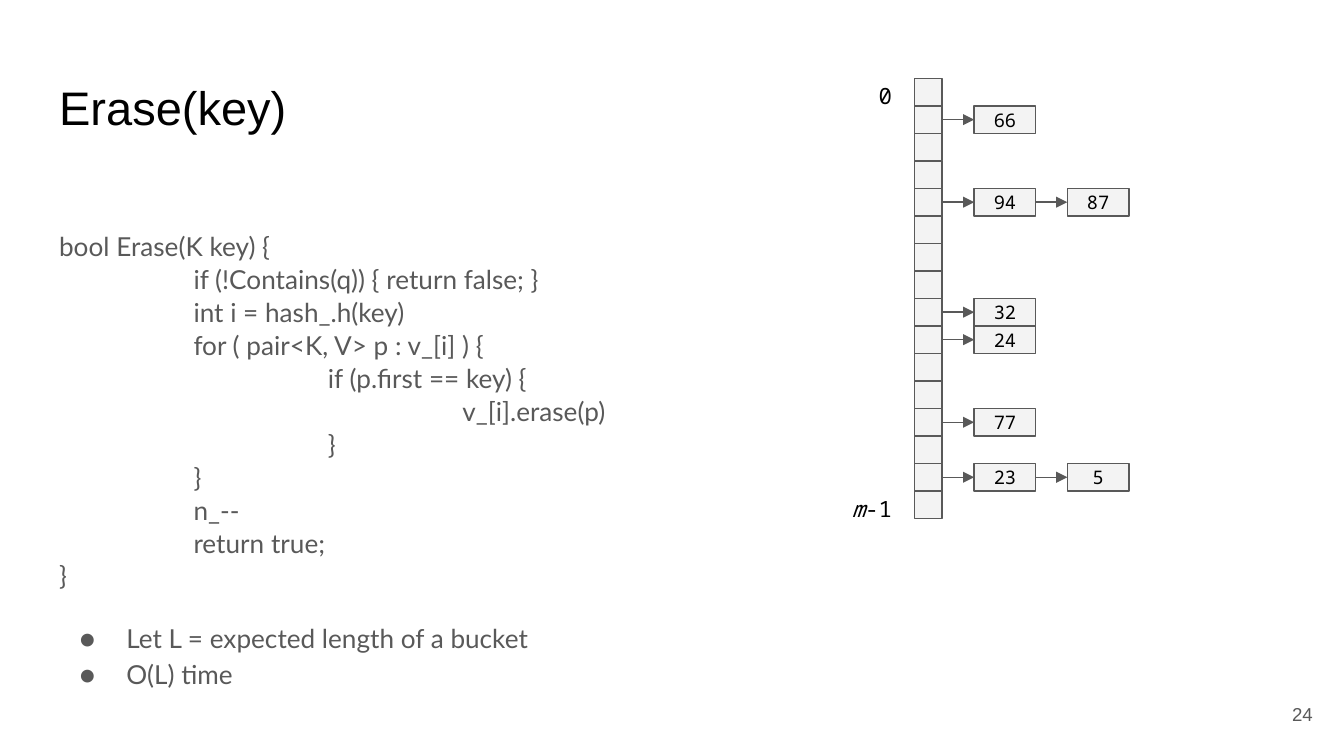
import pptx
import pptx.util
import pptx.dml.color
import pptx.enum.shapes
import pptx.enum.text
import pptx.oxml.ns
import lxml.etree

Pt = pptx.util.Pt
RGBColor = pptx.dml.color.RGBColor
PP_ALIGN = pptx.enum.text.PP_ALIGN
MSO_ANCHOR = pptx.enum.text.MSO_ANCHOR
qn = pptx.oxml.ns.qn

BLACK = RGBColor(0x00, 0x00, 0x00)
GRAY = RGBColor(0x59, 0x59, 0x59)
LIGHT = RGBColor(0xF3, 0xF3, 0xF3)

SANS, BODY, MONO = "Arial", "Lato", "Noto Sans Mono"

CODE = [
    (0, "bool Erase(K key) {"),
    (1, "if (!Contains(q)) { return false; }"),
    (1, "int i = hash_.h(key)"),
    (1, "for ( pair<K, V> p : v_[i] ) {"),
    (2, "if (p.first == key) {"),
    (3, "v_[i].erase(p)"),
    (2, "}"),
    (1, "}"),
    (1, "n_--"),
    (1, "return true;"),
    (0, "}"),
]
NOTES = ["Let L = expected length of a bucket", "O(L) time"]
BUCKET_COUNT = 16
CHAINS = {1: ["66"], 4: ["94", "87"], 8: ["32"], 9: ["24"], 12: ["77"], 14: ["23", "5"]}


def set_frame(tf, anchor=MSO_ANCHOR.TOP):
    tf.word_wrap = True
    tf.vertical_anchor = anchor
    tf.margin_left = tf.margin_right = tf.margin_top = tf.margin_bottom = Pt(7.2)


def style(p, size, name, color, align=PP_ALIGN.LEFT):
    p.alignment = align
    p.font.size = Pt(size)
    p.font.name = name
    p.font.color.rgb = color


def add_property(p, tag, **attributes):
    item = lxml.etree.Element(qn(tag), **attributes)
    p._p.pPr.find(qn("a:defRPr")).addprevious(item)
    return item


def add_text(shapes, box, text, size, name, color, align=PP_ALIGN.LEFT, anchor=MSO_ANCHOR.TOP):
    tb = shapes.add_textbox(*(Pt(v) for v in box))
    set_frame(tb.text_frame, anchor)
    p = tb.text_frame.paragraphs[0]
    p.text = text
    style(p, size, name, color, align)
    return p


def add_code(s, box):
    text = "\n".join("\t" * depth + line for depth, line in CODE)
    p = add_text(s.shapes, box, text, 14, BODY, GRAY)
    p.line_spacing = 1.05
    p.space_after = Pt(12)
    tabs = add_property(p, "a:tabLst")
    for depth in range(1, 4):
        lxml.etree.SubElement(tabs, qn("a:tab"), pos=str(Pt(72 * depth)), algn="l")


def add_bullets(s, box):
    tb = s.shapes.add_textbox(*(Pt(v) for v in box))
    tf = tb.text_frame
    set_frame(tf)
    for i, text in enumerate(NOTES):
        p = tf.add_paragraph() if i else tf.paragraphs[0]
        p.text = text
        style(p, 14, BODY, GRAY)
        p.line_spacing = 1.15
        p._p.pPr.set("marL", str(Pt(36)))
        p._p.pPr.set("indent", str(Pt(-25)))
        color = add_property(p, "a:buClr")
        lxml.etree.SubElement(color, qn("a:srgbClr"), val=str(GRAY))
        add_property(p, "a:buFont", typeface=BODY)
        add_property(p, "a:buChar", char="●")


def add_cell(shapes, x, y, w, h, text=""):
    sp = shapes.add_shape(pptx.enum.shapes.MSO_SHAPE.RECTANGLE, Pt(x), Pt(y), Pt(w), Pt(h))
    sp.shadow.inherit = False
    sp.fill.solid()
    sp.fill.fore_color.rgb = LIGHT
    sp.line.color.rgb = GRAY
    sp.line.width = Pt(0.75)
    if text:
        set_frame(sp.text_frame, MSO_ANCHOR.MIDDLE)
        p = sp.text_frame.paragraphs[0]
        p.text = text
        style(p, 10, MONO, BLACK, PP_ALIGN.CENTER)
    return sp


def add_arrow(shapes, start, end):
    line = shapes.add_connector(pptx.enum.shapes.MSO_CONNECTOR.STRAIGHT, 0, 0, 0, 0)
    line.begin_connect(start, 3)
    line.end_connect(end, 1)
    line.line.color.rgb = GRAY
    line.line.width = Pt(0.75)
    lxml.etree.SubElement(line.line._get_or_add_ln(), qn("a:tailEnd"), type="triangle")
    lxml.etree.SubElement(line._element.spPr, qn("a:effectLst"))


def add_hash_table(s, box):
    left, top, width, height = box
    cell = height / BUCKET_COUNT
    node_w, node_step = 33, 49.9
    bucket_x, node_x = left + 45.2, left + width - node_w - node_step
    shapes = s.shapes.add_group_shape().shapes
    buckets = [add_cell(shapes, bucket_x, top + i * cell, cell, cell) for i in range(BUCKET_COUNT)]

    add_text(shapes, (left + 12, top - 5.2, 28.3, 25), "0", 12, MONO, BLACK, PP_ALIGN.RIGHT)
    p = add_text(shapes, (left, top + height - 19.6, 40.3, 25), "", 12, MONO, BLACK,
                 PP_ALIGN.RIGHT)
    for text, italic in (("m", True), ("-1", False)):
        r = p.add_run()
        r.text = text
        r.font.italic = italic

    for row, keys in CHAINS.items():
        previous = buckets[row]
        for i, key in enumerate(keys):
            node = add_cell(shapes, node_x + i * node_step, top + row * cell, node_w, cell, key)
            add_arrow(shapes, previous, node)
            previous = node


def main():
    prs = pptx.Presentation()
    prs.slide_width, prs.slide_height = Pt(720), Pt(405)
    s = prs.slides.add_slide(prs.slide_layouts[6])
    add_text(s.shapes, (24.6, 35, 671, 45.4), "Erase(key)", 25.2, SANS, BLACK)
    add_code(s, (24.6, 115.6, 314.6, 208))
    add_bullets(s, (24.6, 324, 314.6, 57.6))
    add_text(s.shapes, (667.2, 367.2, 43.2, 31), "24", 10, SANS, GRAY,
             PP_ALIGN.RIGHT, MSO_ANCHOR.MIDDLE)
    add_hash_table(s, (444.7, 42, 160.1, 235.8))
    prs.save("out.pptx")


if __name__ == "__main__":
    main()
